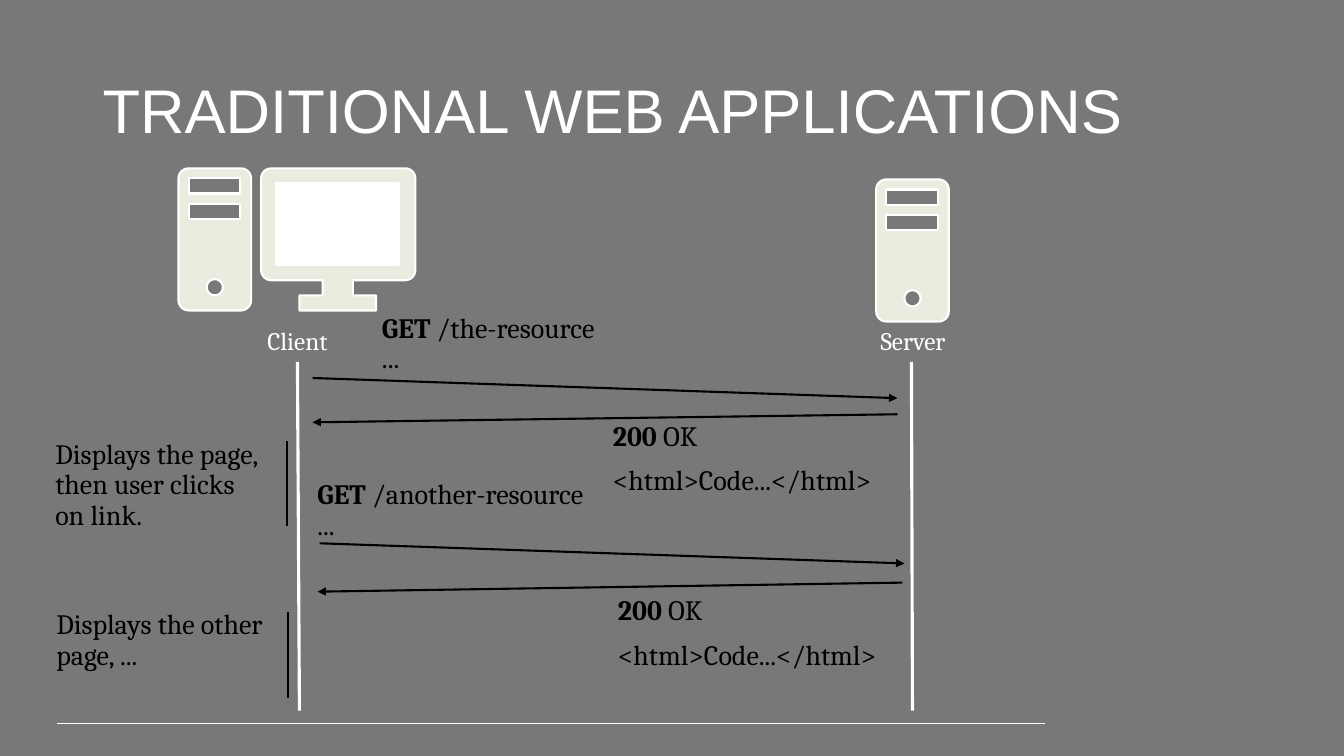
from dataclasses import dataclass
from math import cos, pi, sin

from pptx import Presentation
from pptx.dml.color import RGBColor
from pptx.enum.shapes import MSO_CONNECTOR, MSO_SHAPE
from pptx.enum.text import MSO_ANCHOR, PP_ALIGN
from pptx.oxml.ns import qn
from pptx.shapes.shapetree import SlideShapes
from pptx.util import Inches, Pt
from lxml import etree

GRAY = RGBColor(0x78, 0x78, 0x78)
WHITE = RGBColor(0xFF, 0xFF, 0xFF)
BLACK = RGBColor(0, 0, 0)
CREAM = RGBColor(0xEB, 0xEB, 0xDF)
STRAIGHT = MSO_CONNECTOR.STRAIGHT
RECT = MSO_SHAPE.RECTANGLE
CENTER, LEFT = PP_ALIGN.CENTER, PP_ALIGN.LEFT
TOP, MIDDLE = MSO_ANCHOR.TOP, MSO_ANCHOR.MIDDLE
CURVE = 0.1

Point = tuple[float, float]
Path = list[Point]


@dataclass
class Label:
    """A text box whose paragraphs are pairs of bold and plain text."""
    box: tuple[float, float, float, float]
    lines: list[tuple[str, str]]
    size: int = 20
    font: str = "Cambria"
    color: RGBColor = BLACK
    align: PP_ALIGN = LEFT
    anchor: MSO_ANCHOR = TOP
    spacing: float = 0.9
    before: int = 10


@dataclass
class Line:
    """A straight line that may end in an arrowhead."""
    start: Point
    end: Point
    color: RGBColor = BLACK
    width: float = 1.5
    arrow: bool = False


def arc(x: float, y: float, radius: float, first: int, last: int) -> Path:
    """Return points on a clockwise arc between two angles in degrees."""
    turns = [pi * deg / 180 for deg in range(first, last + 1, 15)]
    return [(x + radius * cos(turn), y + radius * sin(turn)) for turn in turns]


def corners(x: float, y: float, wide: float, high: float) -> list[Path]:
    """Return the four rounded corners of a box, clockwise from top left."""
    left, right = x + CURVE, x + wide - CURVE
    top, base = y + CURVE, y + high - CURVE
    return [arc(left, top, CURVE, 180, 270), arc(right, top, CURVE, 270, 360),
            arc(right, base, CURVE, 0, 90), arc(left, base, CURVE, 90, 180)]


def hole(x: float, y: float, wide: float, high: float) -> Path:
    """Return a box drawn against the clock."""
    return [(x, y), (x, y + high), (x + wide, y + high), (x + wide, y)]


def draw_form(shapes: SlideShapes, paths: list[Path]) -> None:
    """Draw closed paths as one cream outline."""
    rings = [[(Inches(x), Inches(y)) for x, y in ring] for ring in paths]
    form = shapes.build_freeform(*rings[0][0], scale=1.0)
    for index, ring in enumerate(rings):
        if index:
            form.move_to(*ring[0])
        form.add_line_segments(ring[1:], close=True)
    shape = form.convert_to_shape()
    shape.shadow.inherit = False
    shape.fill.solid()
    shape.fill.fore_color.rgb = CREAM
    shape.line.color.rgb = WHITE
    shape.line.width = Pt(1.5)


def draw_tower(shapes: SlideShapes, x: float, y: float) -> None:
    """Draw a computer case with two slots and a button."""
    slots = [hole(x + 0.1, y + drop, 0.51, 0.15) for drop in (0.1, 0.35)]
    button = arc(x + 0.36, y + 1.18, 0.08, 0, 345)[::-1]
    draw_form(shapes, [*slots, button, sum(corners(x, y, 0.72, 1.41), [])])


def draw_screen(shapes: SlideShapes, x: float, y: float) -> None:
    """Draw a monitor on its stand."""
    glass = shapes.add_shape(RECT, Inches(x + 0.09), Inches(y + 0.06),
                             Inches(1.36), Inches(0.98))
    glass.shadow.inherit = False
    glass.fill.solid()
    glass.fill.fore_color.rgb = WHITE
    glass.line.fill.background()
    one, two, three, four = corners(x, y, 1.53, 1.11)
    half = [(0.15, 1.11), (0.15, 1.26), (0.38, 1.26), (0.38, 1.41)]
    mid = x + 0.76
    stand = [(mid + dx, y + dy) for dx, dy in half]
    stand += [(mid - dx, y + dy) for dx, dy in half[::-1]]
    draw_form(shapes, [hole(x + 0.15, y + 0.15, 1.22, 0.81),
                       one + two + three + stand + four])


def draw_label(shapes: SlideShapes, label: Label) -> None:
    """Write a label in a wrapping text box."""
    frame = shapes.add_textbox(*map(Inches, label.box)).text_frame
    frame.word_wrap = True
    frame.vertical_anchor = label.anchor
    for index, (bold, plain) in enumerate(label.lines):
        para = frame.add_paragraph() if index else frame.paragraphs[0]
        para.alignment = label.align
        para.line_spacing = label.spacing
        para.space_before = Pt(label.before)
        para.font.name = label.font
        para.font.size = Pt(label.size)
        para.font.color.rgb = label.color
        if bold:
            run = para.add_run()
            run.text = bold
            run.font.bold = True
        for row, text in enumerate(plain.split("\n")):
            if row:
                para.add_line_break()
            para.add_run().text = text


def draw_line(shapes: SlideShapes, line: Line) -> None:
    """Draw a line without a shadow."""
    link = shapes.add_connector(STRAIGHT, *map(Inches, line.start + line.end))
    link.line.color.rgb = line.color
    link.line.width = Pt(line.width)
    props = link.element.spPr
    if line.arrow:
        etree.SubElement(props.find(qn("a:ln")), qn("a:tailEnd"), type="triangle")
    etree.SubElement(props, qn("a:effectLst"))


REPLY = [("200", " OK"), ("", "<html>Code...</html>")]
NAME = dict(size=18, color=WHITE, align=CENTER, spacing=1.0, before=0)
LABELS = [
    Label((0.92, 0.4, 11.5, 1.45), [("", "TRADITIONAL WEB APPLICATIONS")], 44,
          "Arial", WHITE, anchor=MIDDLE, before=0),
    Label((1.74, 3.18, 2.42, 0.4), [("", "Client")], **NAME),
    Label((8.58, 3.18, 0.95, 0.4), [("", "Server")], **NAME),
    Label((3.69, 3.07, 2.91, 0.71), [("GET", " /the-resource\n...")]),
    Label((5.98, 4.14, 3.06, 0.85), REPLY),
    Label((0.45, 4.32, 2.49, 1.01),
          [("", "Displays the page, then user clicks\non link.")]),
    Label((3.05, 4.72, 3.17, 0.71), [("GET", " /another-resource\n...")]),
    Label((6.03, 5.87, 3.06, 0.85), REPLY),
    Label((0.46, 6.01, 2.49, 0.71), [("", "Displays the other page, ...")]),
]
LINES = [
    Line((0.57, 7.18), (10.36, 7.18), WHITE, 0.75),
    Line((2.95, 3.59), (2.97, 7.05), WHITE, 2.25),
    Line((9.04, 3.59), (9.05, 7.05), WHITE, 2.25),
    Line((3.1, 3.75), (8.9, 3.95), arrow=True),
    Line((8.9, 4.11), (3.1, 4.19), arrow=True),
    Line((2.85, 4.38), (2.85, 5.22)),
    Line((3.17, 5.39), (8.97, 5.59), arrow=True),
    Line((8.95, 5.78), (3.15, 5.87), arrow=True),
    Line((2.86, 6.07), (2.86, 6.92)),
]


def main() -> None:
    """Build the slide and save it."""
    deck = Presentation()
    deck.slide_width, deck.slide_height = Inches(13.33), Inches(7.5)
    slide = deck.slides.add_slide(deck.slide_layouts[6])
    slide.background.fill.solid()
    slide.background.fill.fore_color.rgb = GRAY
    shapes = slide.shapes
    draw_screen(shapes, 2.59, 1.67)
    draw_tower(shapes, 1.77, 1.67)
    draw_tower(shapes, 8.69, 1.78)
    for line in LINES:
        draw_line(shapes, line)
    for label in LABELS:
        draw_label(shapes, label)
    deck.save("out.pptx")


main()
